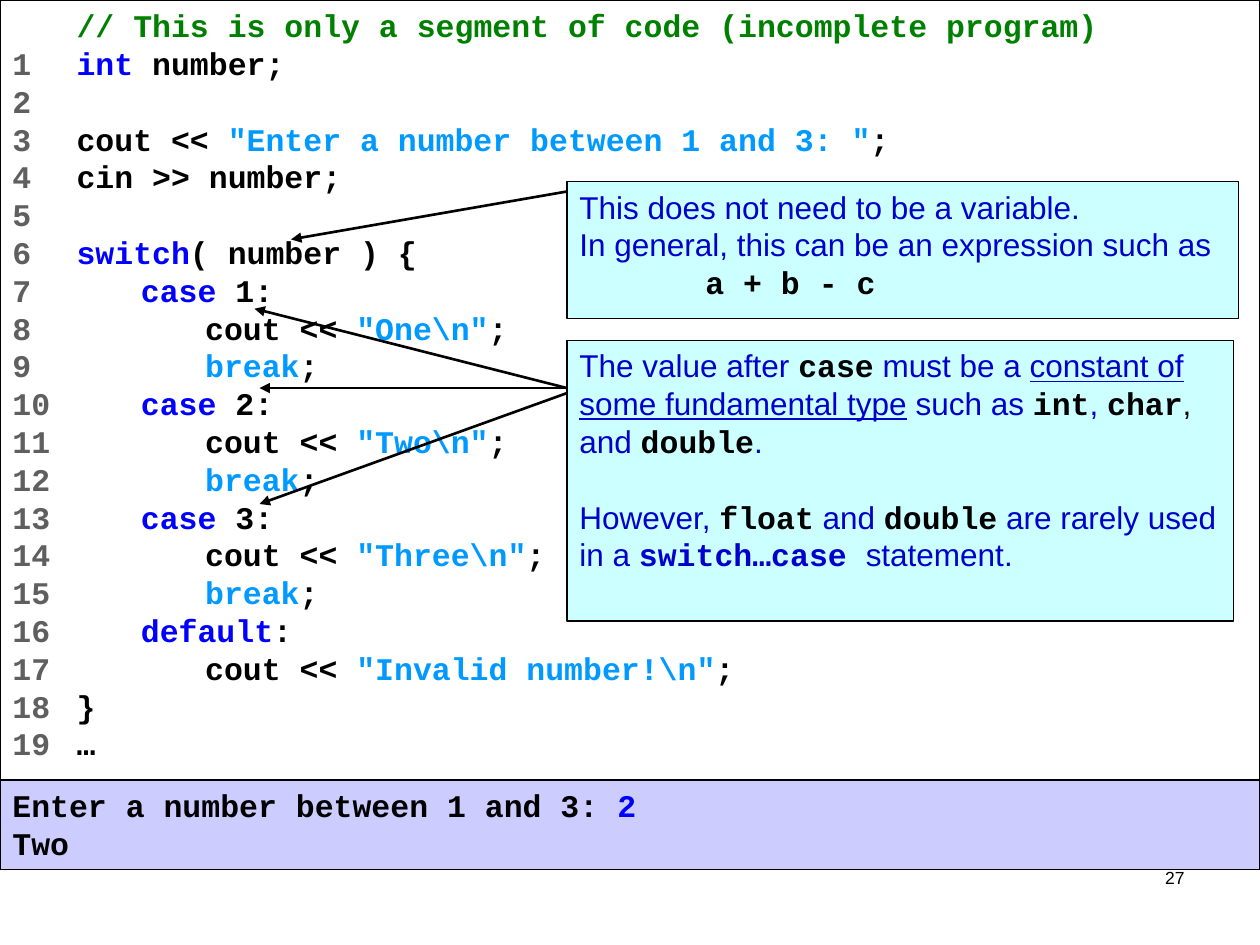
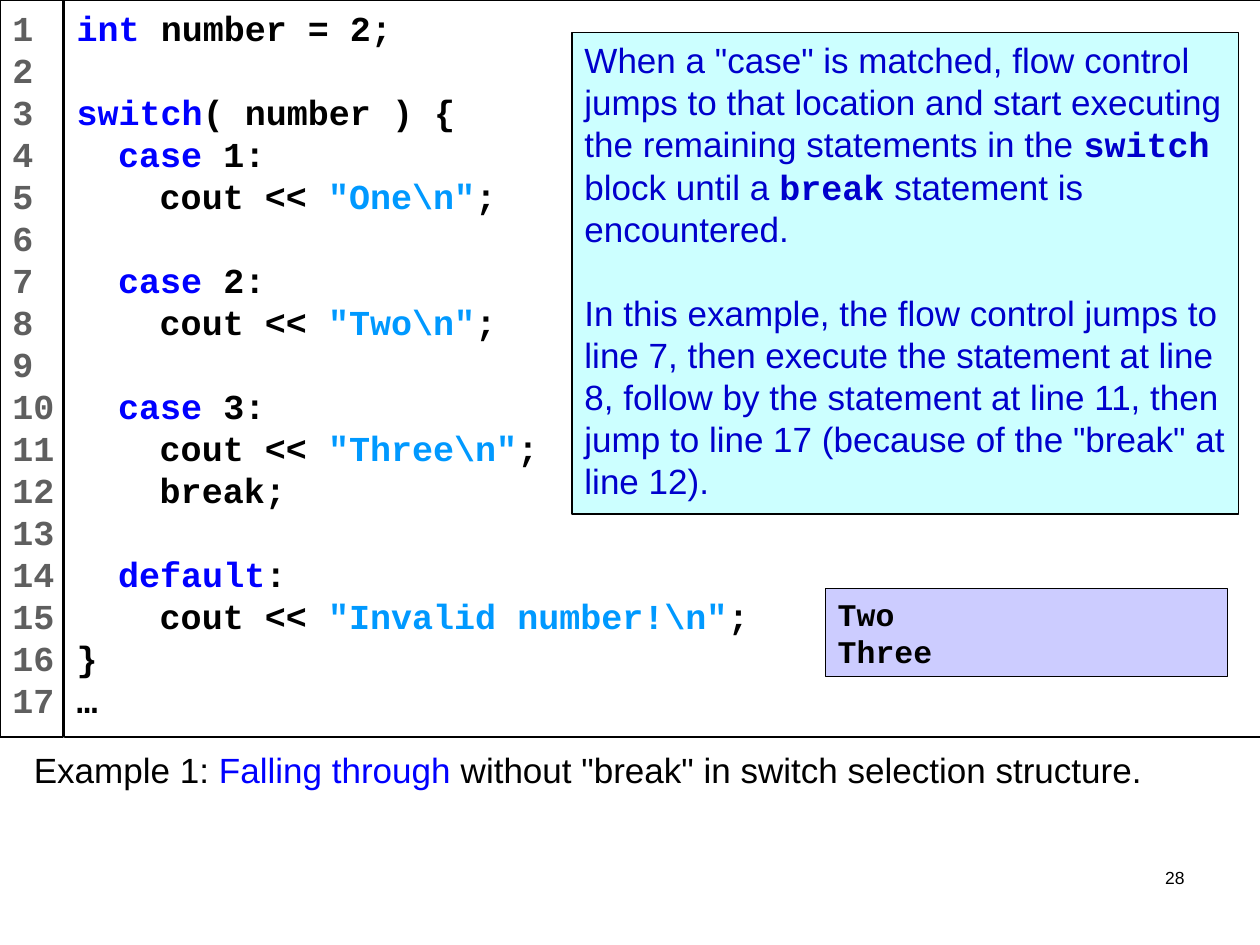
"""Builds two slides that explain switch and case with annotated code."""
import pptx
import pptx.dml.color
import pptx.enum.shapes
import pptx.enum.text
import pptx.oxml.ns
import pptx.util
from lxml import etree

MONO, SANS = "Courier New", "Arial"
BLACK, BLUE, NAVY, SKY = "000000", "0000FF", "0000CC", "0099FF"
THEME = {
    "fill": {"code": "FFFFFF", "output": "CCCCFF", "callout": "CCFFFF"},
    "size": {"small": 10, "body": 18, "large": 20},
    "edge": 0.75,
    "arrow": 1.5,
    "pitch": 1.2,
    "run": {
        "num": (MONO, "5F5F5F", {"bold": True}),
        "note": (MONO, "008000", {"bold": True}),
        "key": (MONO, BLUE, {"bold": True}),
        "str": (MONO, SKY, {"bold": True}),
        "code": (MONO, BLACK, {"bold": True}),
        "term": (MONO, NAVY, {"bold": True}),
        "say": (SANS, NAVY, {"bold": False}),
        "link": (SANS, NAVY, {"bold": False, "underline": True}),
        "plain": (SANS, BLACK, {"bold": False}),
        "mark": (SANS, BLUE, {"bold": False}),
    },
}
SIZE = THEME["size"]
WIDE, HIGH = 10, 7.5
TAB, STEP = 0.51, 0.33

WORDS = {"int": "key", "switch": "key", "case": "key", "default": "key"}
BREAK = {"break": "str"}

MENU = [
    (0, "// This is only a segment of code (incomplete program)"),
    (0, "int number;"),
    (0, ""),
    (0, 'cout << "Enter a number between 1 and 3: ";'),
    (0, "cin >> number;"),
    (0, ""),
    (0, "switch( number ) {"),
    (1, "case 1:"),
    (2, 'cout << "One\\n";'),
    (2, "break;"),
    (1, "case 2:"),
    (2, 'cout << "Two\\n";'),
    (2, "break;"),
    (1, "case 3:"),
    (2, 'cout << "Three\\n";'),
    (2, "break;"),
    (1, "default:"),
    (2, 'cout << "Invalid number!\\n";'),
    (0, "}"),
    (0, "…"),
]
FALL = [
    (0, "int number = 2;"),
    (0, ""),
    (0, "switch( number ) {"),
    (1, "case 1:"),
    (2, 'cout << "One\\n";'),
    (0, ""),
    (1, "case 2:"),
    (2, 'cout << "Two\\n";'),
    (0, ""),
    (1, "case 3:"),
    (2, 'cout << "Three\\n";'),
    (2, "break;"),
    (0, ""),
    (1, "default:"),
    (2, 'cout << "Invalid number!\\n";'),
    (0, "}"),
    (0, "…"),
]

# Each paragraph: left indent in inches, lines of gap above, runs.
ASK = [
    (0, 0, [("code", "Enter a number between 1 and 3: "), ("key", "2")]),
    (0, 0, [("code", "Two")]),
]
SHOWN = [(0, 0, [("code", word)]) for word in ("Two", "Three")]
EXPR = [
    (0, 0, [("say", "This does not need to be a variable.")]),
    (0, 0, [("say", "In general, this can be an expression such as")]),
    (1, 0, [("code", "a + b - c")]),
]
CONST = [
    (0, 0, [
        ("say", "The value after "), ("code", "case"),
        ("say", " must be a "),
        ("link", "constant of some fundamental type"),
        ("say", " such as "), ("code", "int"), ("say", ", "),
        ("code", "char"), ("plain", ", "), ("say", "and "),
        ("code", "double"), ("say", "."),
    ]),
    (0, 1, [
        ("say", "However, "), ("code", "float"), ("say", " and "),
        ("code", "double"), ("say", " are rarely used in a "),
        ("term", "switch…case "), ("say", "statement."),
    ]),
]
FLOW = [
    (0, 0, [
        ("say", 'When a "case" is matched, flow control jumps to that '
                "location and start executing the remaining statements "
                "in the "),
        ("term", "switch"), ("say", " block until a "),
        ("term", "break"), ("say", " statement is encountered."),
    ]),
    (0, 1, [("say", "In this example, the flow control jumps to")]),
    (0, 0, [("say", "line 7, then execute the statement at line 8, follow "
                    "by the statement at line 11, then jump to line 17 "
                    '(because of the "break" at line 12).')]),
]
TITLE = [(0, 0, [
    ("plain", "Example 1:"), ("mark", " Falling through"),
    ("plain", ' without "break" in switch selection structure.'),
])]
ARROWS = [
    ((4.5, 1.52), (2.31, 1.9)),
    ((4.5, 3.08), (2.02, 2.45)),
    ((4.5, 3.08), (2.06, 3.08)),
    ((4.5, 3.12), (2.06, 4)),
]


def paint(line, words):
    """Split a line of code into styled runs."""
    if line.startswith("//"):
        return [("note", line)]
    word = next((w for w in words if line.startswith(w)), "")
    runs = [(words.get(word), word)]
    for spot, part in enumerate(line[len(word):].split('"')):
        runs.append(("str", f'"{part}"') if spot % 2 else ("code", part))
    return [run for run in runs if run[1]]


def tabbed(lines, words):
    """Number the lines after the first and indent them with tabs."""
    paras = []
    for num, (depth, line) in enumerate(lines):
        tabs = "\t" * (depth + 1) if line else ""
        head = ("num", f"{num or ''}{tabs}")
        paras.append((0, 0, [head] + paint(line, words)))
    return paras


def stepped(lines, words):
    """Indent the lines by depth and turn empty ones into gaps."""
    paras, gap = [], 0
    for depth, line in lines:
        if line:
            paras.append((depth * STEP, gap, paint(line, words)))
        gap = 0 if line else gap + 1
    return paras


def color(code):
    """Turn a hex code into a colour."""
    return pptx.dml.color.RGBColor.from_string(code)


def inches(*nums):
    """Turn numbers into lengths."""
    return [pptx.util.Inches(num) for num in nums]


def write(shape, paras, size, align="LEFT", right=0.1):
    """Fill a shape with styled paragraphs."""
    frame = shape.text_frame
    form = {
        "word_wrap": True,
        "vertical_anchor": pptx.enum.text.MSO_ANCHOR.TOP,
        "margin_left": pptx.util.Inches(0.1),
        "margin_right": pptx.util.Inches(right),
        "margin_top": pptx.util.Inches(0.05),
        "margin_bottom": pptx.util.Inches(0.05),
    }
    for name, value in form.items():
        setattr(frame, name, value)
    pitch = size * THEME["pitch"]
    for spot, (lead, gap, runs) in enumerate(paras):
        para = frame.add_paragraph() if spot else frame.paragraphs[0]
        form = {
            "alignment": getattr(pptx.enum.text.PP_ALIGN, align),
            "line_spacing": pptx.util.Pt(pitch),
            "space_before": pptx.util.Pt(gap * pitch),
        }
        for name, value in form.items():
            setattr(para, name, value)
        props = para._p.get_or_add_pPr()
        props.set("marL", str(pptx.util.Inches(lead)))
        if any("\t" in text for _, text in runs):
            tabs = etree.SubElement(props, pptx.oxml.ns.qn("a:tabLst"))
            for stop in range(1, 8):
                place = str(pptx.util.Inches(stop * TAB))
                etree.SubElement(tabs, pptx.oxml.ns.qn("a:tab"),
                                 pos=place, algn="l")
        for style, text in runs:
            face, tint, extra = THEME["run"][style]
            run = para.add_run()
            run.text = text
            form = {"name": face, "size": pptx.util.Pt(size), **extra}
            for name, value in form.items():
                setattr(run.font, name, value)
            run.font.color.rgb = color(tint)


def panel(slide, kind, area, paras, size, right=0.1):
    """Add a framed box of text."""
    rect = pptx.enum.shapes.MSO_SHAPE.RECTANGLE
    shape = slide.shapes.add_shape(rect, *inches(*area))
    shape.shadow.inherit = False
    shape.fill.solid()
    shape.fill.fore_color.rgb = color(THEME["fill"][kind])
    shape.line.color.rgb = color(BLACK)
    shape.line.width = pptx.util.Pt(THEME["edge"])
    write(shape, paras, size, right=right)


def label(slide, area, paras, size, align="LEFT"):
    """Add a plain box of text."""
    write(slide.shapes.add_textbox(*inches(*area)), paras, size, align)


def arrow(slide, start, end):
    """Add a straight arrow."""
    kind = pptx.enum.shapes.MSO_CONNECTOR.STRAIGHT
    link = slide.shapes.add_connector(kind, *inches(*start, *end))
    link.line.color.rgb = color(BLACK)
    link.line.width = pptx.util.Pt(THEME["arrow"])
    etree.SubElement(link.line._get_or_add_ln(),
                     pptx.oxml.ns.qn("a:tailEnd"), type="triangle")
    etree.SubElement(link._element.spPr, pptx.oxml.ns.qn("a:effectLst"))


def page(deck, num):
    """Add a blank slide with its number."""
    slide = deck.slides.add_slide(deck.slide_layouts[6])
    label(slide, (7.17, 6.83, 2.33, 0.5), [(0, 0, [("plain", str(num))])],
          SIZE["small"], "RIGHT")
    return slide


def main():
    """Build and save the deck."""
    deck = pptx.Presentation()
    deck.slide_width, deck.slide_height = inches(WIDE, HIGH)
    body, large = SIZE["body"], SIZE["large"]

    slide = page(deck, 27)
    floor = 6.19
    panel(slide, "code", (0, 0, WIDE, floor),
          tabbed(MENU, WORDS | BREAK), body)
    panel(slide, "output", (0, floor, WIDE, 0.71), ASK, body)
    panel(slide, "callout", (4.5, 1.44, 5.33, 1.09), EXPR, body)
    panel(slide, "callout", (4.5, 2.7, 5.29, 2.23), CONST, body)
    for start, end in ARROWS:
        arrow(slide, start, end)

    slide = page(deck, 28)
    floor = 5.85
    count = [(0, 0, [("num", str(num + 1))]) for num in range(len(FALL))]
    panel(slide, "code", (TAB, 0, 9.53, floor), stepped(FALL, WORDS), large)
    panel(slide, "code", (0, 0, 0.5, floor), count, large, right=0)
    panel(slide, "callout", (4.54, 0.26, 5.29, 3.82), FLOW, large)
    panel(slide, "output", (6.55, 4.67, 3.19, 0.7), SHOWN, body)
    label(slide, (0.17, 5.89, 9.45, 0.44), TITLE, large)

    deck.save("out.pptx")


if __name__ == "__main__":
    main()
